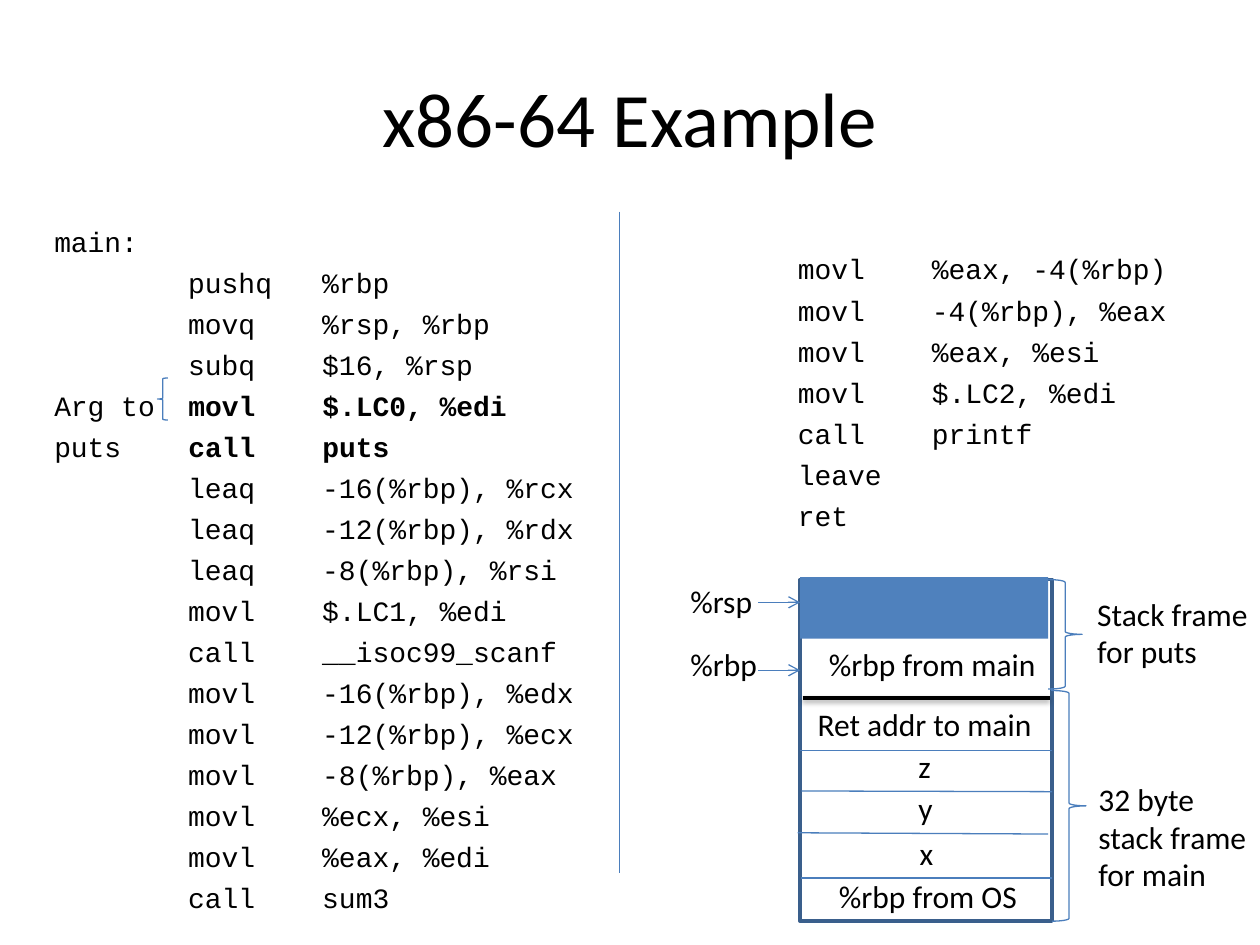
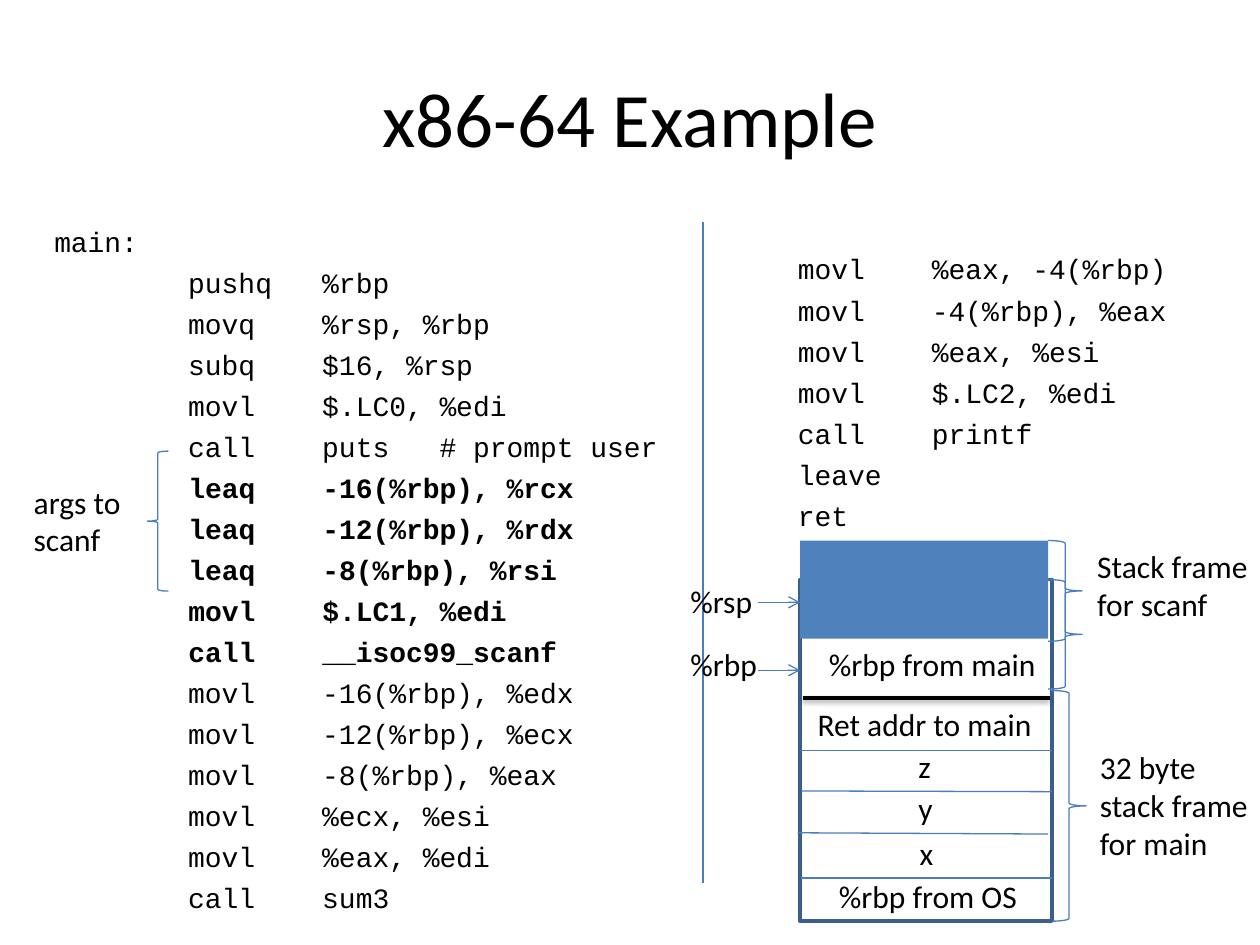
from lxml import etree
from pptx import Presentation
from pptx.dml.color import RGBColor
from pptx.enum.shapes import MSO_CONNECTOR, MSO_SHAPE
from pptx.enum.text import MSO_ANCHOR, MSO_AUTO_SIZE, PP_ALIGN
from pptx.oxml.ns import qn
from pptx.util import Pt

STRAIGHT = MSO_CONNECTOR.STRAIGHT
RECT = MSO_SHAPE.RECTANGLE
LEFT_BRACE, RIGHT_BRACE = MSO_SHAPE.LEFT_BRACE, MSO_SHAPE.RIGHT_BRACE
CENTER, MIDDLE, TOP = PP_ALIGN.CENTER, MSO_ANCHOR.MIDDLE, MSO_ANCHOR.TOP
FIT_SHAPE, NO_FIT = MSO_AUTO_SIZE.SHAPE_TO_FIT_TEXT, MSO_AUTO_SIZE.NONE

BLACK = RGBColor(0x00, 0x00, 0x00)
LINE_BLUE = RGBColor(0x4B, 0x7E, 0xBC)
FRAME_BLUE = RGBColor(0x3A, 0x5F, 0x8C)
FILL_BLUE = RGBColor(0x4F, 0x81, 0xBD)
TEXT_FONT, CODE_FONT = "Calibri", "Courier New"
TWO_CONTENT = 3
OPCODE_COLUMN = 8

# Stack geometry
STACK_LEFT, STACK_TOP, STACK_WIDTH, STACK_HEIGHT = 457.2, 331.2, 144, 195.2
STACK_RIGHT = STACK_LEFT + STACK_WIDTH
USED_BOTTOM, USED_WIDTH = 365, 141.8
BRACE_LEFT = STACK_LEFT + USED_WIDTH

MAIN_CODE = """main:
        pushq   %rbp
        movq    %rsp, %rbp
        subq    $16, %rsp
        movl    $.LC0, %edi
        call    puts
        leaq    -16(%rbp), %rcx
        leaq    -12(%rbp), %rdx
        leaq    -8(%rbp), %rsi
        movl    $.LC1, %edi
        call    __isoc99_scanf
        movl    -16(%rbp), %edx
        movl    -12(%rbp), %ecx
        movl    -8(%rbp), %eax
        movl    %ecx, %esi
        movl    %eax, %edi
        call    sum3""".splitlines()

REST_CODE = """        movl    %eax, -4(%rbp)
        movl    -4(%rbp), %eax
        movl    %eax, %esi
        movl    $.LC2, %edi
        call    printf
        leave
        ret""".splitlines()


class Deck:
    def __init__(self):
        self.prs = Presentation()
        self.prs.slide_width, self.prs.slide_height = Pt(720), Pt(540)
        self.slide = None

    def new_slide(self, title):
        self.slide = self.prs.slides.add_slide(self.prs.slide_layouts[TWO_CONTENT])
        sp = self.slide.shapes.title
        self.place(sp, 36, 21.6, 648, 90)
        tf = sp.text_frame
        tf.text = title
        tf.vertical_anchor = MIDDLE
        tf.paragraphs[0].alignment = CENTER
        self.style(tf.paragraphs[0], TEXT_FONT, 44)

    def place(self, sp, x, y, w, h):
        sp.left, sp.top, sp.width, sp.height = Pt(x), Pt(y), Pt(w), Pt(h)

    def style(self, p, font, size):
        for r in p.runs:
            r.font.name, r.font.size = font, Pt(size)
            r.font.color.rgb = BLACK

    def code(self, idx, lines, x, y, w, h, bold=()):
        sp = self.slide.placeholders[idx]
        self.place(sp, x, y, w, h)
        tf = sp.text_frame
        tf.auto_size, tf.vertical_anchor, tf.word_wrap = NO_FIT, TOP, True
        for i, line in enumerate(lines):
            p = tf.add_paragraph() if i else tf.paragraphs[0]
            pPr = p._p.get_or_add_pPr()
            pPr.set("marL", "0")
            pPr.set("indent", "0")
            etree.SubElement(pPr, qn("a:buNone"))
            p.space_before = Pt(4.25 if i else 0)
            if i in bold:
                p.text = line[:OPCODE_COLUMN]
                r = p.add_run()
                r.text = line[OPCODE_COLUMN:]
                r.font.bold = True
            else:
                p.text = line
            self.style(p, CODE_FONT, 16)

    def label(self, text, x, y, w, h=28.8, wrap=False):
        sp = self.slide.shapes.add_textbox(Pt(x), Pt(y), Pt(w), Pt(h))
        tf = sp.text_frame
        tf.word_wrap, tf.auto_size = wrap, FIT_SHAPE
        tf.text = text
        for p in tf.paragraphs:
            self.style(p, TEXT_FONT, 18)

    def shape(self, kind, x, y, w, h, fill=None, line=None, width=0.75):
        sp = self.slide.shapes.add_shape(kind, Pt(x), Pt(y), Pt(w), Pt(h))
        sp.shadow.inherit = False
        if fill is None:
            sp.fill.background()
        else:
            sp.fill.solid()
            sp.fill.fore_color.rgb = fill
        if line is None:
            sp.line.fill.background()
        else:
            sp.line.color.rgb, sp.line.width = line, Pt(width)
        return sp

    def brace(self, kind, x, y, w, h):
        self.shape(kind, x, y, w, h, line=LINE_BLUE)

    def line(self, x1, y1, x2, y2, color=LINE_BLUE, width=0.75, arrow=False, shadow=False):
        c = self.slide.shapes.add_connector(STRAIGHT, Pt(x1), Pt(y1), Pt(x2), Pt(y2))
        c.line.color.rgb, c.line.width = color, Pt(width)
        if arrow:
            etree.SubElement(c.line._get_or_add_ln(), qn("a:tailEnd"), type="arrow")
        effects = etree.SubElement(c._element.spPr, qn("a:effectLst"))
        if shadow:
            outer = etree.SubElement(effects, qn("a:outerShdw"), blurRad=str(Pt(3.1)),
                                     dist=str(Pt(1.6)), dir="5400000", rotWithShape="0")
            black = etree.SubElement(outer, qn("a:srgbClr"), val=str(BLACK))
            etree.SubElement(black, qn("a:alpha"), val="38000")
        return c

    def stack(self, used_top):
        frame = self.shape(RECT, STACK_LEFT, STACK_TOP, STACK_WIDTH, STACK_HEIGHT,
                           line=FRAME_BLUE, width=2)
        # Frame extents
        self.brace(RIGHT_BRACE, STACK_RIGHT, 394.6, 19.4, 131.8)
        self.brace(RIGHT_BRACE, BRACE_LEFT, STACK_TOP, 19.4, 62.6)
        self.line(STACK_RIGHT, 393.1, STACK_RIGHT, 394.6)
        # Cell borders
        middle = STACK_TOP + STACK_HEIGHT / 2
        border = self.line(STACK_LEFT, middle, STACK_RIGHT, middle)
        border.begin_connect(frame, 1)
        border.end_connect(frame, 3)
        self.line(457.9, 452, STACK_RIGHT, 452.4)
        self.line(455.8, 475.9, 599, 476.6)
        self.line(457.9, 501.8, STACK_RIGHT, 501.8)
        # Space used by the called function
        self.shape(RECT, STACK_LEFT, used_top, USED_WIDTH, USED_BOTTOM - used_top,
                   fill=FILL_BLUE)
        self.line(458.6, 398.9, 599.8, 398.9, BLACK, 2, shadow=True)
        # Cell contents
        self.label("%rbp from main", 466.6, 365, 133.9)
        for text, x, y, w in (("Ret addr to main", 460.1, 399.6, 141.1),
                              ("z", 517.7, 423.4, 22.4),
                              ("y", 517.7, 447.1, 23),
                              ("x", 518.4, 473, 22.4),
                              ("%rbp from OS", 472.3, 497.5, 118.8)):
            self.label(text, x, y, w, wrap=True)
        # Registers
        for name, label_top, arrow_y, w in (("%rsp", 329, 344.2, 50.4),
                                            ("%rbp", 365, 383, 53.3)):
            self.line(433.4, arrow_y, STACK_LEFT, arrow_y, arrow=True)
            self.label(name, 387.4, label_top, w)

    def example(self, lines, bold, code_width, divider, used_top, callee, callee_top,
                main_left, main_top):
        self.new_slide("x86-64 Example")
        self.code(1, lines, 23.8, 124.5, code_width, 378, bold)
        self.code(2, REST_CODE, 372.2, 140.4, 318.2, 364)
        self.line(*divider)
        self.stack(used_top)
        self.label(f"Stack frame\nfor {callee}", 619.9, callee_top, 101.5, 51)
        self.label("32 byte\nstack frame\nfor main", main_left, main_top, 100, 72.7)


def main():
    deck = Deck()

    # Call to puts
    puts_code = list(MAIN_CODE)
    for i, note in ((4, "Arg to"), (5, "puts")):
        puts_code[i] = note.ljust(OPCODE_COLUMN) + MAIN_CODE[i][OPCODE_COLUMN:]
    deck.example(puts_code, range(4, 6), 348, (354.2, 121, 354.2, 499), 329.8,
                 "puts", 336.2, 620.6, 442)
    deck.brace(LEFT_BRACE, 90, 216, 6, 24)

    # Call to scanf
    scanf_code = list(MAIN_CODE)
    scanf_code[5] += "   # prompt user"
    deck.example(scanf_code, range(6, 11), 378, (401.8, 126.7, 401.8, 504.7), 308.9,
                 "scanf", 308.9, 621.4, 424.1)
    deck.brace(RIGHT_BRACE, BRACE_LEFT, 308.9, 19.4, 57.6)
    deck.brace(LEFT_BRACE, 84.2, 257.8, 12, 80)
    deck.label("args to\nscanf", 12.2, 272.2, 64.8, 51)

    deck.prs.save("out.pptx")


if __name__ == "__main__":
    main()
